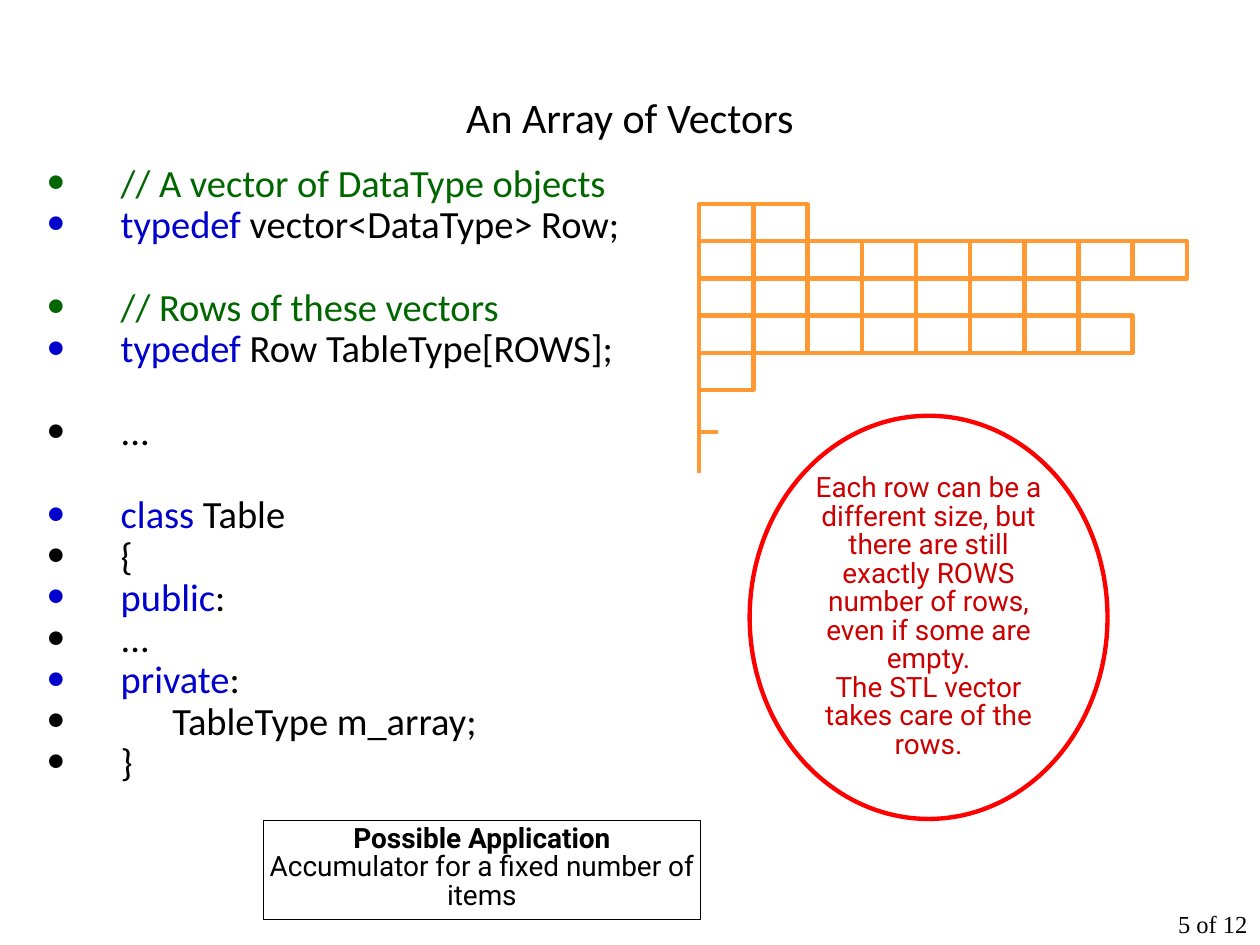
from lxml import etree
from pptx import Presentation
from pptx.dml.color import RGBColor
from pptx.enum import shapes, text
from pptx.oxml.ns import qn
from pptx.util import Inches, Pt

BLACK = RGBColor(0x00, 0x00, 0x00)
GREEN = RGBColor(0x00, 0x66, 0x00)
BLUE = RGBColor(0x00, 0x00, 0xCC)
ORANGE = RGBColor(0xFF, 0x99, 0x33)
RED = RGBColor(0xFF, 0x00, 0x00)
DARK_RED = RGBColor(0xCC, 0x00, 0x00)

TITLE = "An Array of Vectors"
CODE_BLOCKS = [
    [
        [("// A vector of DataType objects", GREEN)],
        [("typedef", BLUE), (" vector<DataType> Row;", BLACK)],
    ],
    [
        [("// Rows of these vectors", GREEN)],
        [("typedef", BLUE), (" Row TableType[ROWS];", BLACK)],
    ],
    [[("...", BLACK)]],
    [
        [("class", BLUE), (" Table", BLACK)],
        [("{", BLACK)],
        [("public", BLUE), (":", BLACK)],
        [("...", BLACK)],
        [("private", BLUE), (":", BLACK)],
        [("\tTableType m_array;", BLACK)],
        [("}", BLACK)],
    ],
]
NOTE = [
    ("Each row can be a different size, but there are still exactly ROWS "
     "number of rows, even if some are empty.", False),
    ("The STL vector takes care of the rows.", False),
]
APPLICATION = [
    ("Possible Application", True),
    ("Accumulator for a fixed number of items", False),
]
PAGE = [("5 of 12", False)]

ROW_LENGTHS = [2, 9, 7, 8, 1]
GRID_LEFT, GRID_TOP = 5.55, 1.62
CELL_W, CELL_H = 0.43, 0.295
STUB_LINES = [
    (GRID_LEFT, 3.04, GRID_LEFT, 3.51),
    (GRID_LEFT, 3.27, GRID_LEFT, 3.75),
    (GRID_LEFT, 3.43, 5.7, 3.43),
]
LINE_GAP, BLOCK_GAP = 5.1, 29


def set_attrs(obj, **values):
    for name, value in values.items():
        setattr(obj, name, value)


def add_run(p, words, color, size, font, bold=False):
    r = p.add_run()
    r.text = words
    set_attrs(r.font, size=Pt(size), name=font, bold=bold)
    r.font.color.rgb = color


def set_frame(tf, margins, anchor=text.MSO_ANCHOR.TOP):
    left, top, right, bottom = map(Inches, margins)
    set_attrs(tf, word_wrap=True, vertical_anchor=anchor, margin_left=left,
              margin_top=top, margin_right=right, margin_bottom=bottom)


def add_lines(tf, lines, color, size, font, align, spacing):
    for i, (words, bold) in enumerate(lines):
        p = tf.add_paragraph() if i else tf.paragraphs[0]
        set_attrs(p, alignment=align, line_spacing=spacing)
        add_run(p, words, color, size, font, bold)


def add_outline(s, kind, box, color, width):
    sp = s.shapes.add_shape(kind, *map(Inches, box))
    sp.shadow.inherit = False
    sp.fill.background()
    sp.line.color.rgb = color
    sp.line.width = Pt(width)
    return sp


def add_bullet(p, color):
    pPr = p._p.get_or_add_pPr()
    pPr.set("marL", str(Inches(0.59)))
    pPr.set("indent", str(Inches(-0.59)))
    clr = etree.SubElement(pPr, qn("a:buClr"))
    etree.SubElement(clr, qn("a:srgbClr"), val=str(color))
    etree.SubElement(pPr, qn("a:buFont"), typeface="Calibri")
    etree.SubElement(pPr, qn("a:buChar"), char="•")
    tabs = etree.SubElement(pPr, qn("a:tabLst"))
    etree.SubElement(tabs, qn("a:tab"), pos=str(Inches(1)), algn="l")


def add_code(s):
    tf = s.shapes.add_textbox(*map(Inches, (0.27, 1.31, 9.53, 5.59))).text_frame
    set_frame(tf, (0.1, 0.05, 0.1, 0.05))
    for b, block in enumerate(CODE_BLOCKS):
        for i, line in enumerate(block):
            first = b == 0 and i == 0
            p = tf.paragraphs[0] if first else tf.add_paragraph()
            add_bullet(p, line[0][1])
            p.line_spacing = 0.7
            if not first:
                p.space_before = Pt(LINE_GAP if i else BLOCK_GAP)
            for words, color in line:
                add_run(p, words, color, 22, "Calibri")


def add_grid(s):
    for row, length in enumerate(ROW_LENGTHS):
        for col in range(length):
            box = (GRID_LEFT + col * CELL_W, GRID_TOP + row * CELL_H, CELL_W, CELL_H)
            add_outline(s, shapes.MSO_SHAPE.RECTANGLE, box, ORANGE, 2.5)
    for ends in STUB_LINES:
        ln = s.shapes.add_connector(shapes.MSO_CONNECTOR.STRAIGHT, *map(Inches, ends))
        ln.line.color.rgb = ORANGE
        ln.line.width = Pt(2.5)
        etree.SubElement(ln._element.spPr, qn("a:effectLst"))


def main():
    prs = Presentation()
    set_attrs(prs, slide_width=Inches(10), slide_height=Inches(7.5))
    s = prs.slides.add_slide(prs.slide_layouts[5])
    center = text.PP_ALIGN.CENTER

    title = s.shapes.title
    set_attrs(title, left=Inches(0.5), top=Inches(0.3),
              width=Inches(9), height=Inches(1.25))
    set_frame(title.text_frame, (0.1, 0.05, 0.1, 0.05), text.MSO_ANCHOR.MIDDLE)
    add_lines(title.text_frame, [(TITLE, False)], BLACK, 24, "Calibri", center, 1.0)

    add_code(s)

    page = s.shapes.add_textbox(*map(Inches, (8.7, 7.22, 1.3, 0.28))).text_frame
    set_frame(page, (0.1, 0.05, 0.1, 0.05))
    add_lines(page, PAGE, BLACK, 14, "Times New Roman", text.PP_ALIGN.RIGHT, 0.75)

    add_grid(s)

    note = add_outline(s, shapes.MSO_SHAPE.OVAL, (5.95, 3.3, 2.84, 3.2), RED, 2.5)
    set_frame(note.text_frame, (0, 0, 0, 0), text.MSO_ANCHOR.MIDDLE)
    add_lines(note.text_frame, NOTE, DARK_RED, 16, "Roboto", center, 0.85)

    use = add_outline(s, shapes.MSO_SHAPE.RECTANGLE, (2.09, 6.51, 3.47, 0.79), BLACK, 0.75)
    set_frame(use.text_frame, (0, 0.04, 0, 0))
    add_lines(use.text_frame, APPLICATION, BLACK, 16, "Roboto", center, 0.85)

    prs.save("out.pptx")


if __name__ == "__main__":
    main()
